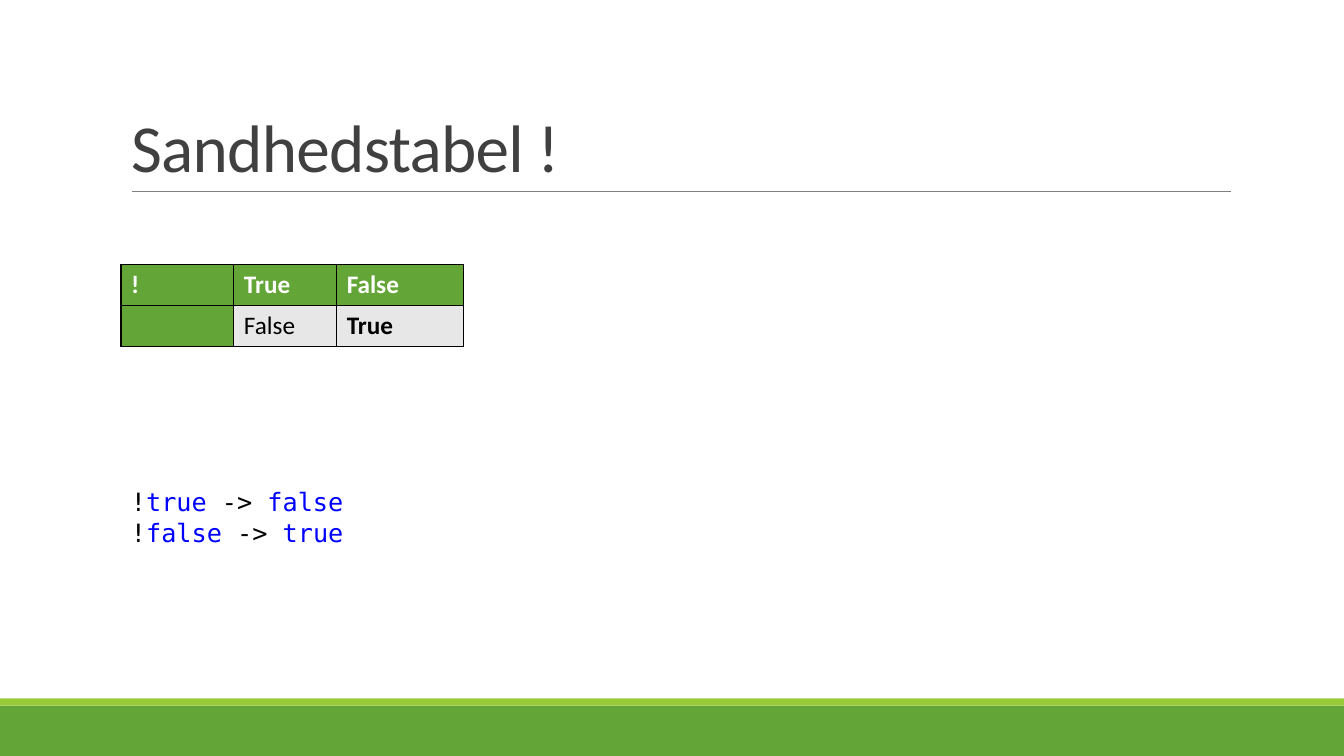
from lxml import etree
from pptx import Presentation
from pptx.dml.color import RGBColor
from pptx.enum.shapes import MSO_CONNECTOR, MSO_SHAPE
from pptx.enum.text import MSO_ANCHOR
from pptx.oxml.ns import qn
from pptx.util import Inches, Pt

RECTANGLE = MSO_SHAPE.RECTANGLE
STRAIGHT = MSO_CONNECTOR.STRAIGHT
BOTTOM = MSO_ANCHOR.BOTTOM

GREEN = RGBColor(0x63, 0xA5, 0x37)
LIME = RGBColor(0x99, 0xCB, 0x38)
GRAY = RGBColor(0x80, 0x80, 0x80)
DARK = RGBColor(0x40, 0x40, 0x40)
PALE = RGBColor(0xE7, 0xE7, 0xE7)
BLACK = RGBColor(0, 0, 0)
BLUE = RGBColor(0, 0, 0xFF)
WHITE = RGBColor(0xFF, 0xFF, 0xFF)

BODY_FONT = "Calibri"
CODE_FONT = "DejaVu Sans Mono"
SLIDE_WIDTH, SLIDE_HEIGHT = 13.33, 7.5
LEFT = 1.2

TITLE = "Sandhedstabel !"
TRUTH_TABLE = [["!", "True", "False"], ["", "False", "True"]]
COLUMN_WIDTHS = [1.12, 1.02, 1.26]
ROW_HEIGHT = 0.41
CODE_LINES = [
    [("!", BLACK), ("true", BLUE), (" -> ", BLACK), ("false", BLUE)],
    [("!", BLACK), ("false", BLUE), (" -> ", BLACK), ("true", BLUE)],
]
BANDS = [(7, 0.5, GREEN), (6.93, 0.07, LIME)]


def add_text(paragraph, text, size=18, font=BODY_FONT, color=BLACK, bold=False):
    run = paragraph.add_run()
    run.text = text
    run.font.size = Pt(size)
    run.font.name = font
    run.font.color.rgb = color
    run.font.bold = bold
    return run


def add_borders(cell):
    properties = cell._tc.get_or_add_tcPr()
    for position, side in enumerate(("a:lnL", "a:lnR", "a:lnT", "a:lnB")):
        border = etree.Element(qn(side), w=str(Pt(1)))
        fill = etree.SubElement(border, qn("a:solidFill"))
        etree.SubElement(fill, qn("a:srgbClr"), val=str(BLACK))
        properties.insert(position, border)


def add_bands(slide):
    for top, height, color in BANDS:
        band = slide.shapes.add_shape(
            RECTANGLE, 0, Inches(top), Inches(SLIDE_WIDTH), Inches(height))
        band.shadow.inherit = False
        band.fill.solid()
        band.fill.fore_color.rgb = color
        band.line.fill.background()


def add_rule(slide):
    rule = slide.shapes.add_connector(
        STRAIGHT, Inches(1.31), Inches(1.9), Inches(12.21), Inches(1.9))
    rule.line.color.rgb = GRAY
    rule.line.width = Pt(0.5)
    etree.SubElement(rule._element.spPr, qn("a:effectLst"))


def add_title(slide):
    title = slide.shapes.title
    title.left, title.top = Inches(LEFT), Inches(0.31)
    title.width, title.height = Inches(11), Inches(1.59)
    frame = title.text_frame
    frame.vertical_anchor = BOTTOM
    frame.word_wrap = True
    paragraph = frame.paragraphs[0]
    paragraph.alignment = 1
    paragraph.line_spacing = 0.85
    run = add_text(paragraph, TITLE, size=48, color=DARK)
    run.font._element.set("spc", "-50")


def add_truth_table(slide):
    table = slide.shapes.add_table(
        len(TRUTH_TABLE), len(COLUMN_WIDTHS), Inches(LEFT), Inches(2.62),
        Inches(sum(COLUMN_WIDTHS)), Inches(ROW_HEIGHT * len(TRUTH_TABLE))).table
    for column, width in zip(table.columns, COLUMN_WIDTHS):
        column.width = Inches(width)
    for row, values in enumerate(TRUTH_TABLE):
        table.rows[row].height = Inches(ROW_HEIGHT)
        for column, value in enumerate(values):
            cell = table.cell(row, column)
            heading = row == 0 or column == 0
            cell.fill.solid()
            cell.fill.fore_color.rgb = GREEN if heading else PALE
            add_borders(cell)
            if value:
                add_text(cell.text_frame.paragraphs[0], value,
                         color=WHITE if heading else BLACK,
                         bold=heading or value == "True")


def add_code(slide):
    frame = slide.shapes.add_textbox(
        Inches(LEFT), Inches(4.77), Inches(3.71), Inches(0.71)).text_frame
    frame.word_wrap = True
    for index, line in enumerate(CODE_LINES):
        paragraph = frame.add_paragraph() if index else frame.paragraphs[0]
        paragraph.line_spacing = Pt(22)
        for text, color in line:
            add_text(paragraph, text, font=CODE_FONT, color=color)


def main():
    presentation = Presentation()
    presentation.slide_width = Inches(SLIDE_WIDTH)
    presentation.slide_height = Inches(SLIDE_HEIGHT)
    slide = presentation.slides.add_slide(presentation.slide_layouts[5])
    add_bands(slide)
    add_rule(slide)
    add_title(slide)
    add_truth_table(slide)
    add_code(slide)
    presentation.save("out.pptx")


if __name__ == "__main__":
    main()
